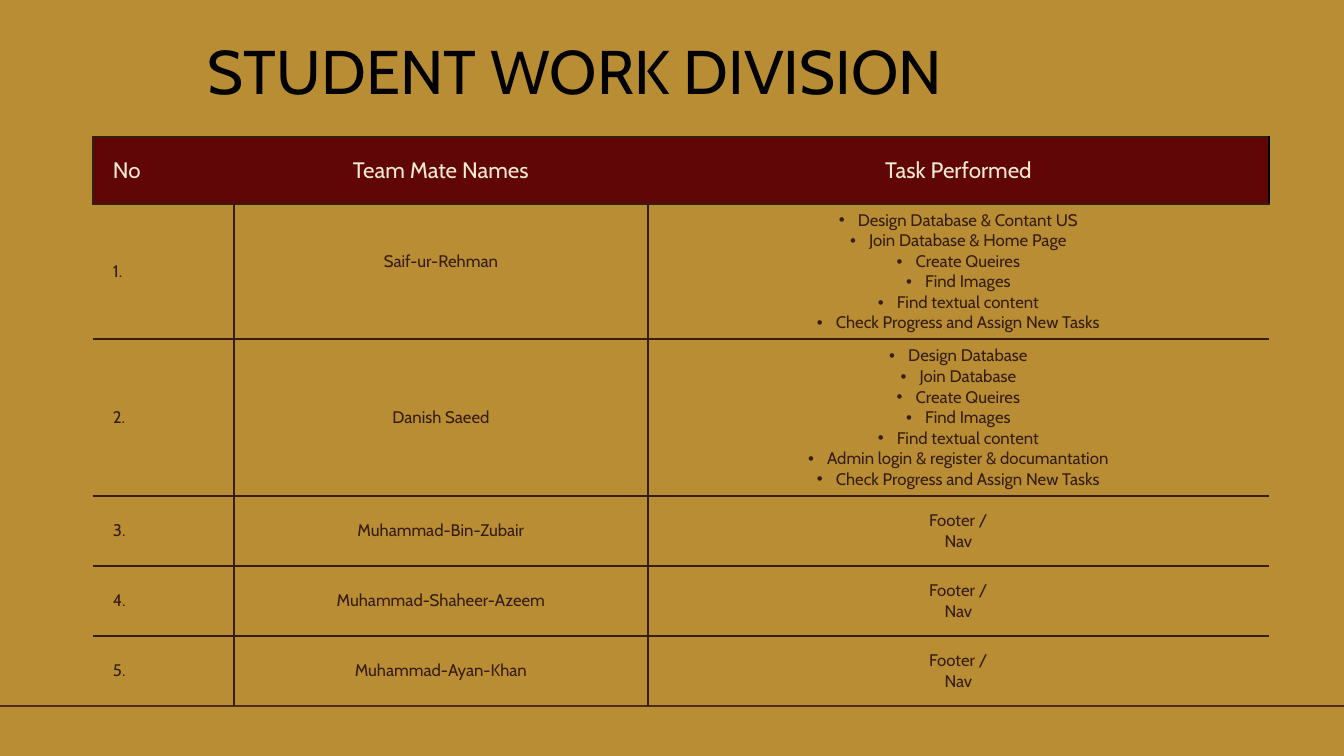
from lxml.etree import SubElement
from pptx import Presentation
from pptx.dml.color import RGBColor
from pptx.enum.shapes import MSO_CONNECTOR as Connector
from pptx.enum.text import MSO_ANCHOR as Anchor, MSO_AUTO_SIZE as AutoSize, PP_ALIGN as Align
from pptx.oxml.ns import qn
from pptx.util import Pt

SCALE = 914400 / 100.8


def px(length):
    return round(length * SCALE)


def colour(code):
    return RGBColor.from_string(code)


def write(frame, text, size=12, ink="351D10", font="Cabin", align=Align.LEFT, bullet=False):
    frame.word_wrap = True
    for index, line in enumerate(text.split("\n")):
        para = frame.add_paragraph() if index else frame.paragraphs[0]
        para.alignment = align
        if bullet:
            properties = para._p.get_or_add_pPr()
            properties.set("marL", str(px(19)))
            properties.set("indent", str(-px(19)))
            SubElement(properties, qn("a:buFont"), typeface="Arial")
            SubElement(properties, qn("a:buChar"), char="•")
        span = para.add_run()
        span.text = line
        span.font.name = font
        span.font.size = Pt(size)
        span.font.bold = False
        span.font.color.rgb = colour(ink)


class Page:
    ground = "B98D34"
    rule = "4F2C18"
    border = "351D10"
    header_fill = "610606"
    header_ink = "F3E9D4"
    black = "000000"

    def __init__(self, deck):
        self.slide = deck.slides.add_slide(deck.slide_layouts[5])
        fill = self.slide.background.fill
        fill.solid()
        fill.fore_color.rgb = colour(self.ground)

    def title(self, text, left, top, width, height, indent):
        box = self.slide.shapes.title
        box.left, box.top, box.width, box.height = map(px, (left, top, width, height))
        frame = box.text_frame
        frame.auto_size = AutoSize.NONE
        frame.vertical_anchor = Anchor.TOP
        frame.margin_left = px(indent)
        write(frame, text, size=44, ink=self.black)

    def line(self, left, top, right, bottom):
        line = self.slide.shapes.add_connector(Connector.STRAIGHT, *map(px, (left, top, right, bottom)))
        line.line.color.rgb = colour(self.rule)
        line.line.width = Pt(2)
        SubElement(line._element.spPr, qn("a:effectLst"))

    def edges(self, cell, inks):
        properties = cell._tc.get_or_add_tcPr()
        for side in "LRTB":
            edge = SubElement(properties, qn(f"a:ln{side}"), w=str(Pt(1.5)))
            if inks.get(side):
                fill = SubElement(edge, qn("a:solidFill"))
                SubElement(fill, qn("a:srgbClr"), val=inks[side])
            else:
                SubElement(edge, qn("a:noFill"))

    def table(self, rows, left, top, widths, heights):
        shape = self.slide.shapes.add_table(
            len(rows), len(widths), px(left), px(top), px(sum(widths)), px(sum(heights)))
        table = shape.table
        table.horz_banding = False
        for column, width in zip(table.columns, widths):
            column.width = px(width)
        for row, height in zip(table.rows, heights):
            row.height = px(height)
        last_row, last_column = len(rows) - 1, len(widths) - 1
        for row, texts in enumerate(rows):
            header = row == 0
            for column, text in enumerate(texts):
                cell = table.cell(row, column)
                cell.vertical_anchor = Anchor.MIDDLE
                if column == 0:
                    cell.margin_left = px(20)
                self.edges(cell, {
                    "L": self.border if header == (column == 0) else None,
                    "R": (self.black if header else self.border) if header == (column == last_column) else None,
                    "T": self.border,
                    "B": self.border if row < last_row else None,
                })
                if header:
                    cell.fill.solid()
                    cell.fill.fore_color.rgb = colour(self.header_fill)
                else:
                    cell.fill.background()
                write(cell.text_frame, text,
                      size=16 if header else 12,
                      ink=self.header_ink if header else self.border,
                      align=Align.CENTER if column else Align.LEFT,
                      bullet=text.count("\n") > 1)
        return table


def main():
    deck = Presentation()
    deck.slide_width, deck.slide_height = px(1344), px(756)
    page = Page(deck)
    page.line(0, 706, 1344, 706)
    page.title("STUDENT WORK DIVISION", 61, 28, 955, 213, indent=147)

    shared = "Create Queires\nFind Images\nFind textual content\n"
    progress = "Check Progress and Assign New Tasks"
    footer = "Footer /\nNav"
    members = [
        ("Saif-ur-Rehman", "Design Database & Contant US\nJoin Database & Home Page\n" + shared + progress),
        ("Danish Saeed", "Design Database\nJoin Database\n" + shared
         + "Admin login & register & documantation\n" + progress),
        ("Muhammad-Bin-Zubair", footer),
        ("Muhammad-Shaheer-Azeem", footer),
        ("Muhammad-Ayan-Khan", footer),
    ]
    rows = [("No", "Team Mate Names", "Task Performed")]
    rows += [(f"{number}.", name, tasks) for number, (name, tasks) in enumerate(members, 1)]
    table = page.table(rows, 93, 137, widths=[141, 414, 621], heights=[67, 135, 157, 70, 70, 70])
    table.cell(1, 1).margin_bottom = px(25)
    deck.save("out.pptx")


if __name__ == "__main__":
    main()
